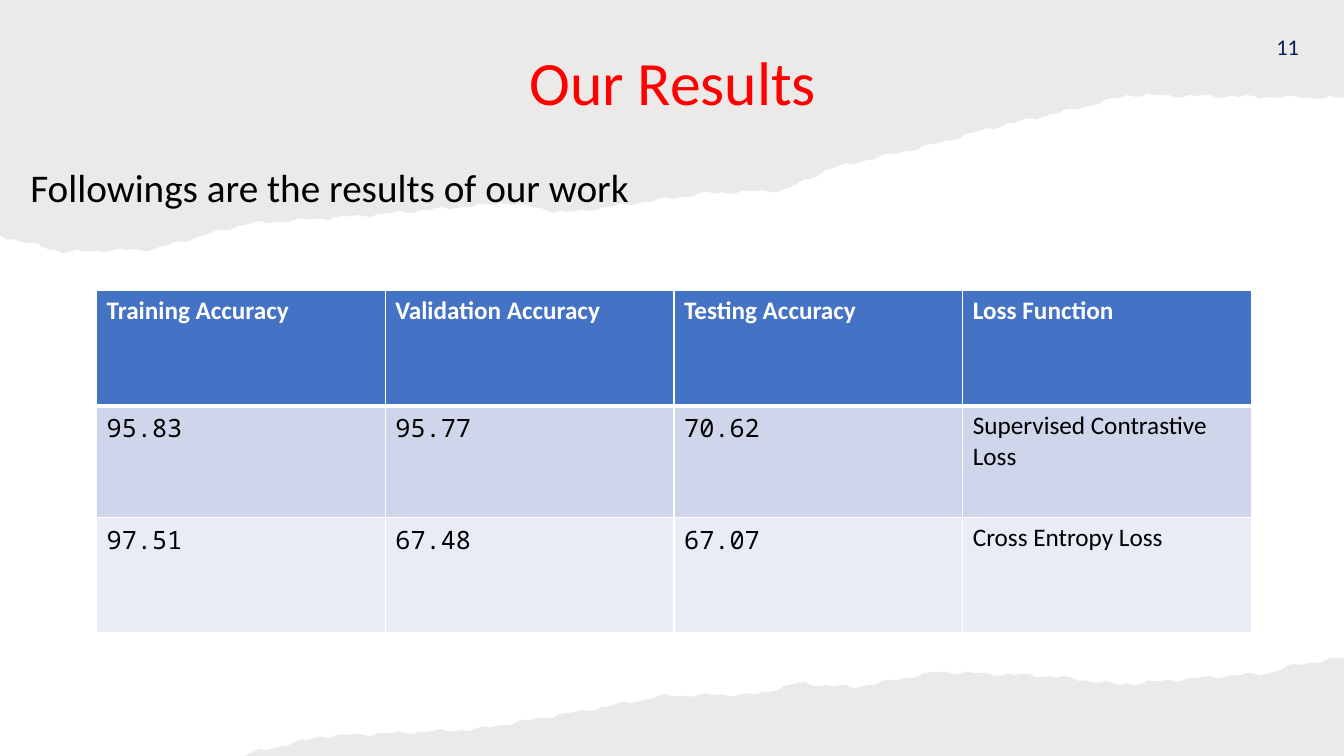
import math
from itertools import pairwise

from lxml import etree
from pptx import Presentation
from pptx import util as u
from pptx.dml.color import RGBColor
from pptx.enum import text
from pptx.oxml.ns import qn

Pt = u.Pt
RED = RGBColor(0xFF, 0x00, 0x00)
BLACK = RGBColor(0x00, 0x00, 0x00)
WHITE = RGBColor(0xFF, 0xFF, 0xFF)
NAVY = RGBColor(0x00, 0x20, 0x60)
PAPER = RGBColor(0x82, 0x76, 0x6A)
HEADER = RGBColor(0x44, 0x72, 0xC4)
BANDS = [RGBColor(0xCF, 0xD5, 0xEA), RGBColor(0xE9, 0xEB, 0xF5)]
W, H = 960, 540
FONT, MONO = "Calibri", "Noto Sans Mono"

prs = Presentation()
prs.slide_width, prs.slide_height = Pt(W), Pt(H)
s = prs.slides.add_slide(prs.slide_layouts[5])


def torn_edge(bends, step=5, depth=0.8):
    """Join the bends by straight runs, roughened by two small waves."""
    edge = []
    for (x0, y0), (x1, y1) in pairwise(bends):
        count = max(1, round((x1 - x0) / step))
        for k in range(count):
            x = x0 + (x1 - x0) * k / count
            y = y0 + (y1 - y0) * k / count
            ripple = math.sin(x / 2.3) + math.sin(x / 5.1)
            edge.append((x, y + depth * ripple))
    return edge + [bends[-1]]


def write(tf, content, para, font, color):
    """Put one formatted line of text into a text frame."""
    tf.word_wrap = True
    p = tf.paragraphs[0]
    r = p.add_run()
    r.text = content
    r.font.color.rgb = color
    for target, values in ((p, para), (r.font, font)):
        for name, value in values.items():
            setattr(target, name, value)


# Torn paper: the main bends of each edge, then the slide corners that close it
top_bends = [(0, 168.5), (45, 180), (110, 178), (175, 160), (260, 154),
             (362, 145), (405, 152), (505, 138), (560, 136), (594, 120),
             (660, 105), (710, 91), (780, 75), (805, 68), (W, 70)]
bottom_bends = [(175, 539), (230, 526), (340, 521), (410, 509), (475, 497),
                (540, 496), (570, 488), (610, 491), (670, 480), (750, 483),
                (800, 489), (860, 484), (905, 481), (925, 475), (W, 470)]
for bends, corners in ((top_bends, [(W, 0), (0, 0)]), (bottom_bends, [(W, H), (175, H)])):
    points = [(Pt(x), Pt(min(y, H))) for x, y in torn_edge(bends) + corners]
    builder = s.shapes.build_freeform(*points[0])
    builder.add_line_segments(points[1:], close=True)
    sp = builder.convert_to_shape()
    sp.shadow.inherit = False
    sp.line.fill.background()
    sp.fill.solid()
    sp.fill.fore_color.rgb = PAPER
    paper_color = sp._element.spPr.find(qn("a:solidFill")).find(qn("a:srgbClr"))
    etree.SubElement(paper_color, qn("a:alpha"), val="15000")

# Title, in front of the paper
title = s.shapes.title
title._element.getparent().append(title._element)
title.left, title.top, title.width, title.height = Pt(21.6), Pt(14), Pt(918), Pt(94)
title.text_frame.vertical_anchor = text.MSO_ANCHOR.MIDDLE
write(title.text_frame, "Our Results",
      {"alignment": text.PP_ALIGN.CENTER, "line_spacing": 0.9},
      {"name": FONT, "size": Pt(44)}, RED)

# Introductory line
intro = s.shapes.add_textbox(Pt(14.6), Pt(117), Pt(720), Pt(109))
write(intro.text_frame, "Followings are the results of our work",
      {"line_spacing": 0.9}, {"name": FONT, "size": Pt(28)}, BLACK)

# Page number
number = s.shapes.add_textbox(Pt(719), Pt(18.7), Pt(216), Pt(28.8))
number.text_frame.vertical_anchor = text.MSO_ANCHOR.MIDDLE
write(number.text_frame, "11",
      {"alignment": text.PP_ALIGN.RIGHT, "space_after": Pt(6)},
      {"name": FONT, "size": Pt(16)}, NAVY)

# Results table
results = [
    ["Training Accuracy", "Validation Accuracy", "Testing Accuracy", "Loss Function"],
    ["95.83", "95.77", "70.62", "Supervised Contrastive Loss"],
    ["97.51", "67.48", "67.07", "Cross Entropy Loss"],
]
row_heights = [82.4, 79.9, 82.4]
table = s.shapes.add_table(len(results), len(results[0]), Pt(69), Pt(207.4),
                           Pt(825), Pt(sum(row_heights))).table
for i, (values, height) in enumerate(zip(results, row_heights)):
    table.rows[i].height = Pt(height)
    is_header = i == 0
    for j, value in enumerate(values):
        cell = table.cell(i, j)
        is_number = not is_header and j < 3
        write(cell.text_frame, value, {},
              {"name": MONO if is_number else FONT, "size": Pt(18), "bold": is_header},
              WHITE if is_header else BLACK)
        # White borders, with a thick rule between header and body
        tcPr = cell._tc.get_or_add_tcPr()
        for side in ("L", "R", "T", "B"):
            under_header = (i, side) in ((0, "B"), (1, "T"))
            border = etree.SubElement(tcPr, qn(f"a:ln{side}"),
                                      w=str(Pt(3 if under_header else 1)))
            line_fill = etree.SubElement(border, qn("a:solidFill"))
            etree.SubElement(line_fill, qn("a:srgbClr"), val=str(WHITE))
        cell.fill.solid()
        cell.fill.fore_color.rgb = HEADER if is_header else BANDS[i - 1]

prs.save("out.pptx")
